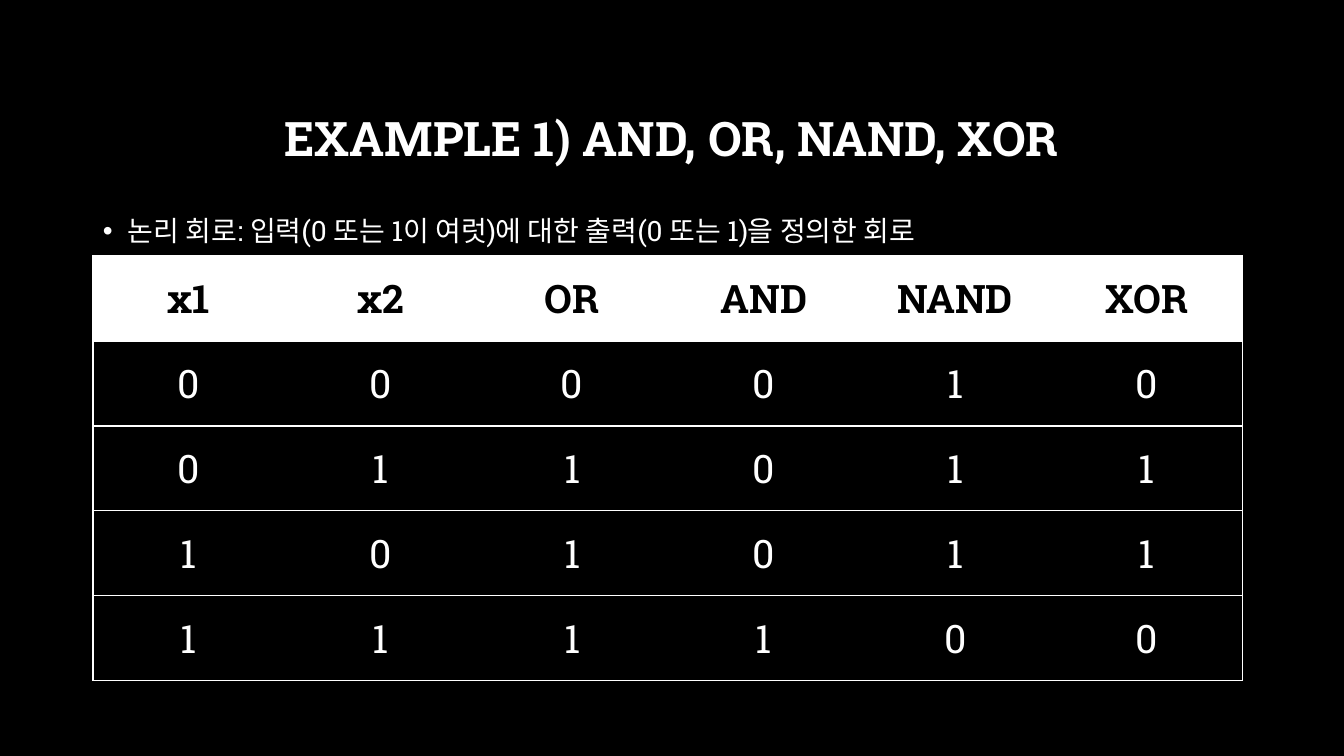
"""Build a slide with the truth table of four logic gates."""
from pptx import Presentation, util as u
from pptx.dml.color import RGBColor
from pptx.enum import text
from pptx.oxml.ns import qn
from lxml import etree

TITLE = "EXAMPLE 1) AND, OR, NAND, XOR"
DEFINITION = "논리 회로: 입력(0 또는 1이 여럿)에 대한 출력(0 또는 1)을 정의한 회로"
GATES = ["x1", "x2", "OR", "AND", "NAND", "XOR"]
TRUTH = [
    [0, 0, 0, 0, 1, 0],
    [0, 1, 1, 0, 1, 1],
    [1, 0, 1, 0, 1, 1],
    [1, 1, 1, 1, 0, 0],
]

FONT, WHITE, BLACK = "Roboto Slab", "FFFFFF", "000000"
TITLE_BOX = (101, 68, 1141, 146)
DEFINITION_BOX = (93, 202, 1150, 480)
TABLE_BOX = (93, 256, 1150, 425)
EMU_PER_PX = 914400 / 100.8


def px(length):
    return u.Emu(round(length * EMU_PER_PX))


def rgb(code):
    return RGBColor.from_string(code)


def write(paragraph, words, size, color=WHITE, bold=False):
    run = paragraph.add_run()
    run.text = words
    run.font.name, run.font.size, run.font.bold = FONT, u.Pt(size), bold
    run.font.color.rgb = rgb(color)


def add_text(slide, box, anchor, spacing):
    frame = slide.shapes.add_textbox(*map(px, box)).text_frame
    frame.word_wrap = True
    frame.vertical_anchor = anchor
    paragraph = frame.paragraphs[0]
    paragraph.line_spacing = spacing
    return paragraph


def add_bullet(paragraph, indent):
    props = paragraph._p.get_or_add_pPr()
    props.set("marL", str(px(indent)))
    props.set("indent", str(-px(indent)))
    etree.SubElement(props, qn("a:buFont")).set("typeface", "Arial")
    etree.SubElement(props, qn("a:buChar")).set("char", "•")


def set_borders(cell, visible):
    props = cell._tc.get_or_add_tcPr()
    for side in "LRTB":
        line = etree.SubElement(props, qn("a:ln" + side), w=str(u.Pt(1)))
        if side in visible:
            fill = etree.SubElement(line, qn("a:solidFill"))
            etree.SubElement(fill, qn("a:srgbClr"), val=WHITE)
        else:
            etree.SubElement(line, qn("a:noFill"))


def add_truth_table(slide):
    rows = [GATES] + TRUTH
    last = len(GATES) - 1
    table = slide.shapes.add_table(len(rows), len(GATES), *map(px, TABLE_BOX)).table
    for column in table.columns:
        column.width = px(TABLE_BOX[2] / len(GATES))
    for r, values in enumerate(rows):
        table.rows[r].height = px(TABLE_BOX[3] / len(rows))
        header = r == 0
        for c, value in enumerate(values):
            cell = table.cell(r, c)
            set_borders(cell, "TB" + "L" * (c == 0) + "R" * (c == last))
            cell.fill.solid()
            cell.fill.fore_color.rgb = rgb(WHITE if header else BLACK)
            cell.vertical_anchor = text.MSO_ANCHOR.MIDDLE
            paragraph = cell.text_frame.paragraphs[0]
            paragraph.alignment = text.PP_ALIGN.CENTER
            write(paragraph, str(value), 28, BLACK if header else WHITE, header)


def main():
    deck = Presentation()
    deck.slide_width, deck.slide_height = px(1344), px(756)
    slide = deck.slides.add_slide(deck.slide_layouts[6])
    slide.background.fill.solid()
    slide.background.fill.fore_color.rgb = rgb(BLACK)

    title = add_text(slide, TITLE_BOX, text.MSO_ANCHOR.MIDDLE, 0.9)
    title.alignment = text.PP_ALIGN.CENTER
    write(title, TITLE, 34, bold=True)

    definition = add_text(slide, DEFINITION_BOX, text.MSO_ANCHOR.TOP, 1.2)
    definition.space_before = u.Pt(10)
    add_bullet(definition, 25)
    write(definition, DEFINITION, 20)

    add_truth_table(slide)
    deck.save("out.pptx")


if __name__ == "__main__":
    main()
